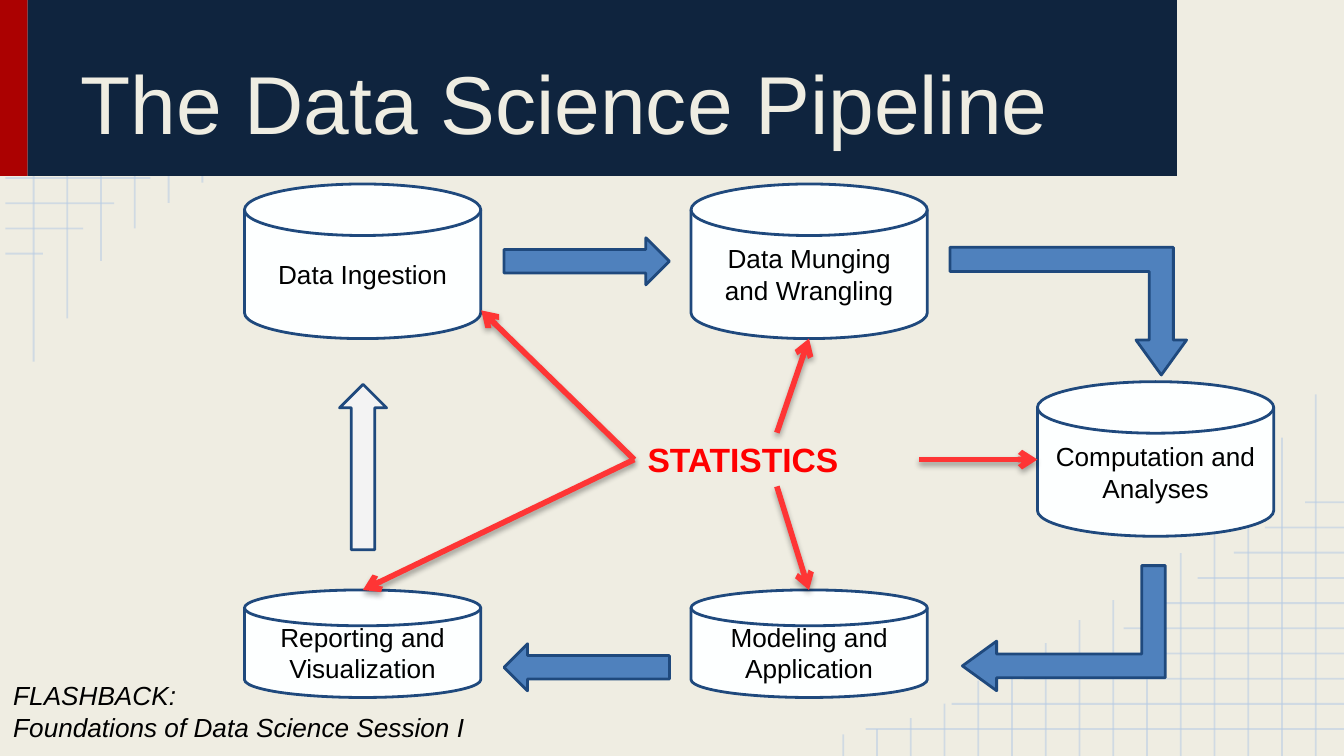
"""Build the data science pipeline slide."""
from lxml import etree
from pptx import Presentation
from pptx.dml.color import RGBColor
from pptx.enum.shapes import MSO_CONNECTOR, MSO_SHAPE
from pptx.enum.text import MSO_ANCHOR, PP_ALIGN
from pptx.oxml.ns import qn
from pptx.util import Pt

STRAIGHT = MSO_CONNECTOR.STRAIGHT
RECT = MSO_SHAPE.RECTANGLE
DISK = MSO_SHAPE.FLOWCHART_MAGNETIC_DISK
ARROW = MSO_SHAPE.RIGHT_ARROW
BENT = MSO_SHAPE.BENT_UP_ARROW
MIDDLE, BOTTOM, TOP = MSO_ANCHOR.MIDDLE, MSO_ANCHOR.BOTTOM, MSO_ANCHOR.TOP
CENTER, LEFT = PP_ALIGN.CENTER, PP_ALIGN.LEFT

CREAM = RGBColor(0xEF, 0xED, 0xE2)
GRID = RGBColor(0xB7, 0xCC, 0xE4)
CRIMSON = RGBColor(0xAB, 0x01, 0x01)
NAVY = RGBColor(0x0F, 0x24, 0x3E)
BLUE = RGBColor(0x4F, 0x81, 0xBD)
OUTLINE = RGBColor(0x1F, 0x49, 0x7D)
WHITE = RGBColor(0xFD, 0xFF, 0xFF)
PALE = RGBColor(0xF3, 0xF3, 0xF3)
RED = RGBColor(0xFF, 0x00, 0x00)
CORAL = RGBColor(0xFE, 0x35, 0x35)
BLACK = RGBColor(0x00, 0x00, 0x00)

WIDTH, HEIGHT = 720, 405
BANNER_H = 94.3


def add_line(x1, y1, x2, y2, color, width):
    s = slide.shapes.add_connector(STRAIGHT, Pt(x1), Pt(y1), Pt(x2), Pt(y2))
    s.line.color.rgb = color
    s.line.width = Pt(width)
    effects = etree.SubElement(s.element.spPr, qn("a:effectLst"))
    return s, effects


def write(sp, text, size, color, anchor, align, inset_y=7.2):
    tf = sp.text_frame
    tf.word_wrap = True
    tf.vertical_anchor = anchor
    tf.margin_left = tf.margin_right = Pt(7.2)
    tf.margin_top = tf.margin_bottom = Pt(inset_y)
    p = tf.paragraphs[0]
    p.text = text
    p.alignment = align
    for r in p.runs:
        r.font.name = "Arial"
        r.font.size = Pt(size)
        r.font.color.rgb = color
    return p


prs = Presentation()
prs.slide_width, prs.slide_height = Pt(WIDTH), Pt(HEIGHT)
slide = prs.slides.add_slide(prs.slide_layouts[6])
slide.background.fill.solid()
slide.background.fill.fore_color.rgb = CREAM

row_ends = [258.5, 212.4, 173.5, 149, 120.2, 98.6, 80.6, 61.2, 44.6, 23]
column_heights = [193.7, 170.6, 139.8, 122.4, 108.7, 97.9, 83.5, 72.7,
                  60.5, 52.6, 40.3, 28.1, 20.2, 14.4, 11.5]
grid_lines = []
for i, end in enumerate(row_ends):
    y = 14.4 + 13.5 * i
    if y > BANNER_H:
        grid_lines.append((2.9, y, end, y))
    grid_lines.append((WIDTH, HEIGHT - y, WIDTH + 2.2 - end, HEIGHT - y))
for i, height in enumerate(column_heights):
    x = 18 + 18.08 * i
    if height > BANNER_H:
        grid_lines.append((x, height, x, 0))
    right = WIDTH + 2.9 - x
    grid_lines.append((right, HEIGHT - height, right, HEIGHT))
for ends in grid_lines:
    s, effects = add_line(*ends, GRID, 1)
    color = s.element.spPr.find(".//" + qn("a:srgbClr"))
    etree.SubElement(color, qn("a:alpha"), val="54000")

for x, width, fill in [(0, 14.8, CRIMSON), (14.8, 615.7, NAVY)]:
    sp = slide.shapes.add_shape(RECT, Pt(x), Pt(0), Pt(width), Pt(BANNER_H))
    sp.shadow.inherit = False
    sp.fill.solid()
    sp.fill.fore_color.rgb = fill
    sp.line.fill.background()

title = slide.shapes.add_textbox(Pt(36), Pt(8), Pt(576), Pt(80))
write(title, "The Data Science Pipeline", 44, CREAM, BOTTOM, LEFT)

disk_w, disk_h, short_h = 126.6, 82.8, 57.6
left_x, middle_x, right_x = 131, 370.2, 555.8
top_y, bottom_y = 98.6, 316.1
bent_adj = (0.189, 0.198, 0.274)
arrow_adj = (0.5, 0.5)
shapes = [
    (ARROW, 270, 127.4, 88.6, 25.2, 0, BLUE, arrow_adj, ""),
    (DISK, left_x, top_y, disk_w, disk_h, 0, WHITE, (), "Data Ingestion"),
    (DISK, middle_x, top_y, disk_w, disk_h, 0, WHITE, (), "Data Munging and Wrangling"),
    (DISK, right_x, 204.5, disk_w, disk_h, 0, WHITE, (), "Computation and Analyses"),
    (DISK, middle_x, bottom_y, disk_w, short_h, 0, WHITE, (), "Modeling and Application"),
    (DISK, left_x, bottom_y, disk_w, short_h, 0, WHITE, (), "Reporting and Visualization"),
    (ARROW, 270, 344.9, 88.6, 25.2, 180, BLUE, arrow_adj, ""),
    (BENT, 536.4, 282.2, 67, 108.7, 270, BLUE, bent_adj, ""),
    (BENT, 509, 132.5, 126.7, 68.4, 180, BLUE, bent_adj, ""),
    (ARROW, 150.2, 237.6, 88.6, 25.2, 270, PALE, arrow_adj, ""),
]
for kind, x, y, w, h, rotation, fill, adjustments, text in shapes:
    sp = slide.shapes.add_shape(kind, Pt(x), Pt(y), Pt(w), Pt(h))
    sp.shadow.inherit = False
    sp.rotation = rotation
    sp.fill.solid()
    sp.fill.fore_color.rgb = fill
    sp.line.color.rgb = OUTLINE
    sp.line.width = Pt(1.5)
    for i, value in enumerate(adjustments):
        sp.adjustments[i] = value
    if kind == BENT:
        sp.element.spPr.find(qn("a:xfrm")).set("flipH", "1")
    if text:
        write(sp, text, 14, BLACK, MIDDLE, CENTER)

hub = slide.shapes.add_textbox(Pt(339.8), Pt(231.8), Pt(152.6), Pt(28.8))
p = write(hub, "STATISTICS", 18, RED, TOP, LEFT, 3.6)
p.runs[0].font.bold = True

hub_arrows = [
    (339.8, 246.2, 257.8, 166.3),
    (416.2, 231.8, 433.4, 181.4),
    (492.5, 246.2, 555.8, 246.2),
    (416.2, 260.6, 433.4, 316.1),
    (339.8, 246.2, 194.4, 316.1),
]
for ends in hub_arrows:
    s, effects = add_line(*ends, CORAL, 3)
    etree.SubElement(s.element.spPr.find(qn("a:ln")), qn("a:tailEnd"), type="arrow")
    shadow = etree.SubElement(effects, qn("a:outerShdw"), blurRad="40000",
                              dist="23000", dir="5400000", rotWithShape="0")
    color = etree.SubElement(shadow, qn("a:srgbClr"), val="000000")
    etree.SubElement(color, qn("a:alpha"), val="35000")

flashback = slide.shapes.add_textbox(Pt(0), Pt(360.7), Pt(257.8), Pt(41))
p = write(flashback, "FLASHBACK:\vFoundations of Data Science Session I",
          14, BLACK, TOP, LEFT, 3.6)
flashback.text_frame.word_wrap = False
for r in p.runs:
    r.font.italic = True

prs.save("out.pptx")
